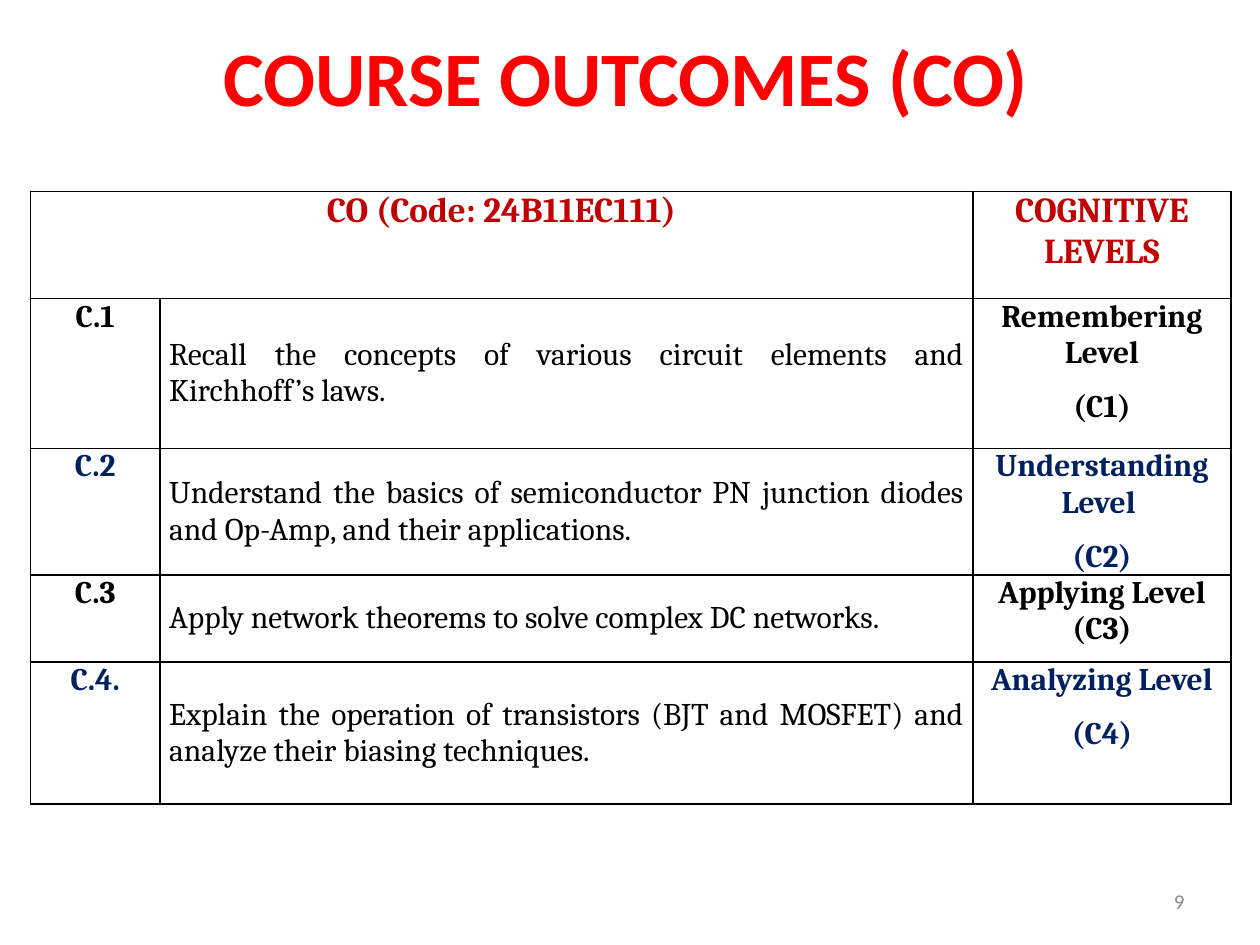
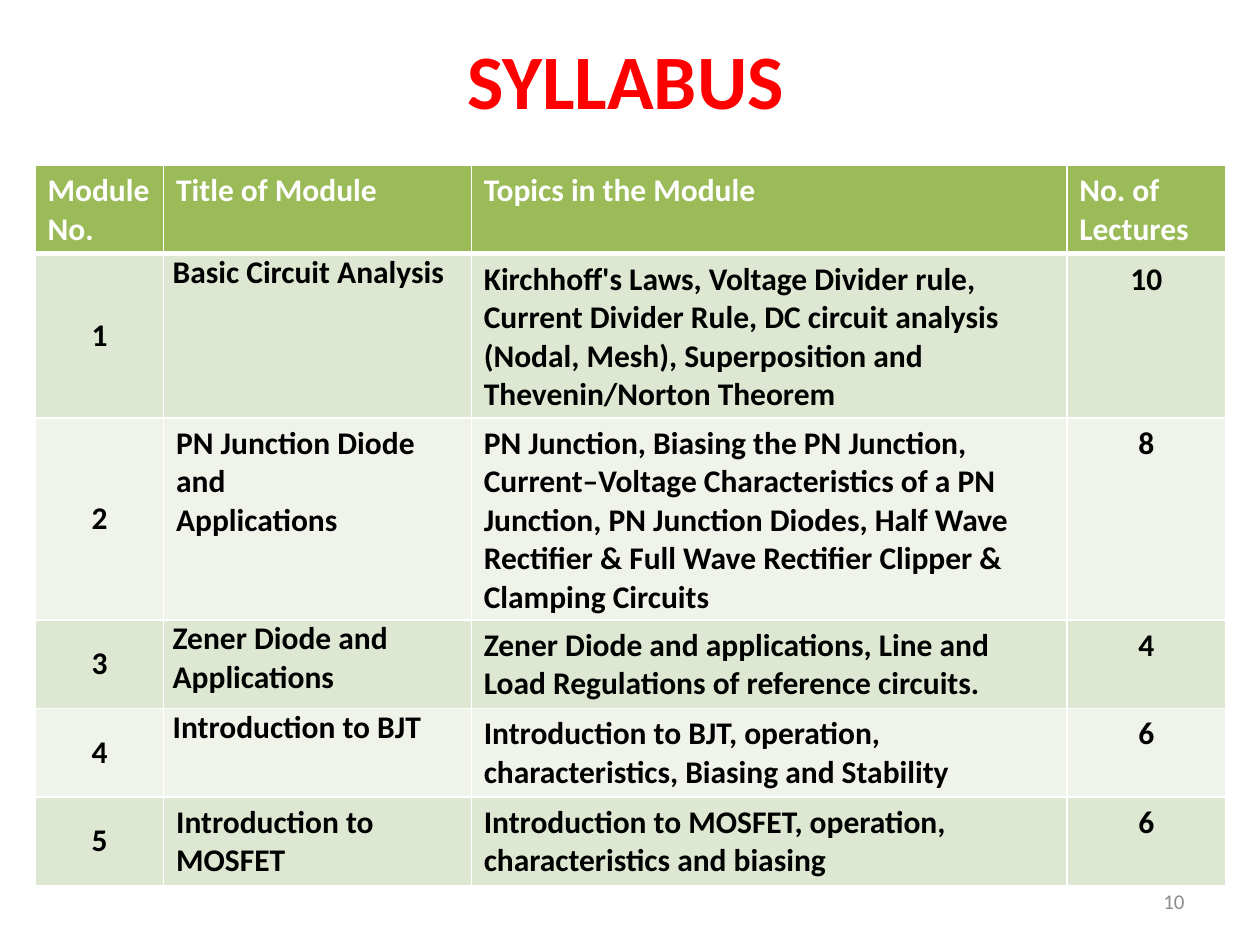
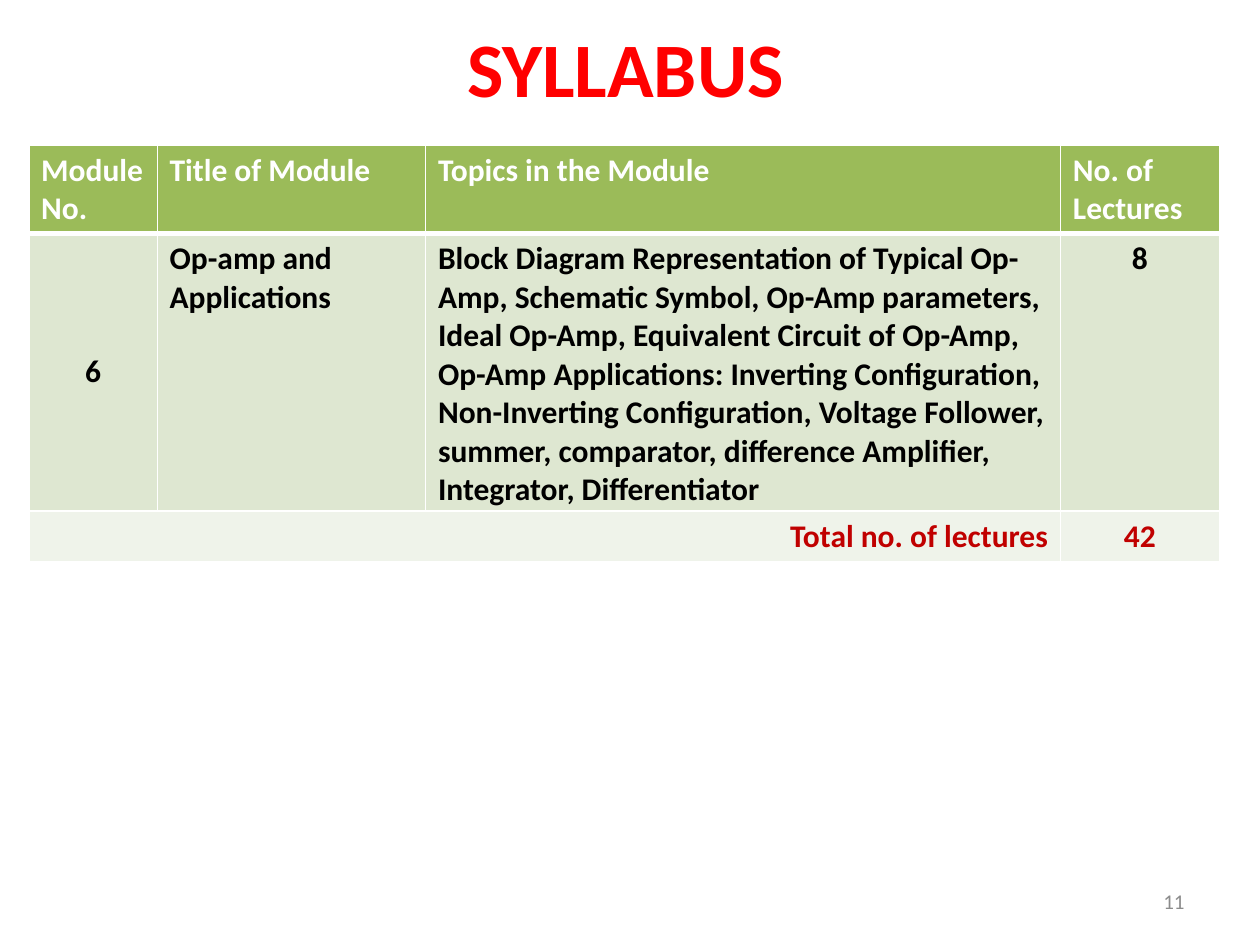
from collections import namedtuple
from dataclasses import dataclass

from lxml.etree import SubElement
from pptx import Presentation
from pptx.dml.color import RGBColor
from pptx.enum.text import MSO_ANCHOR, MSO_AUTO_SIZE, PP_ALIGN
from pptx.oxml.ns import qn
from pptx.util import Cm, Pt

Box = namedtuple("Box", "left top width height")


@dataclass(frozen=True)
class Theme:
    body_font: str = "Calibri"
    outcome_font: str = "Cambria"
    title_size: int = 44
    heading_size: int = 20
    body_size: int = 18
    number_size: int = 12
    title: str = "FF0000"
    number: str = "8C8C8C"
    ink: str = "000000"
    navy: str = "002060"
    accent: str = "C00000"
    white: str = "FFFFFF"
    green: str = "9BBB59"
    bands: tuple = ("DEE7D1", "EFF3EA")


THEME = Theme()
NUMBER_BOX = Box(18.21, 17.65, 5.92, 1.02)
PLAIN_MARGINS = (0.25, 0.13, 0.25, 0.13)
SNUG_MARGINS = (0.18, 0, 0, 0)
OUTCOME_MARGINS = (0.18, 0, 0.18, 0)

OUTCOMES = [
    # code, outcome, cognitive level, colour, points between level lines
    ("C.1", "Recall the concepts of various circuit elements and Kirchhoff’s laws. ",
     "Remembering Level\n(C1)", THEME.ink, 10),
    ("C.2", "Understand the basics of semiconductor PN junction diodes and Op-Amp, "
     "and their applications.", "Understanding Level \n(C2)", THEME.navy, 10),
    ("C.3", "Apply network theorems to solve complex DC networks.",
     "Applying Level\n(C3)", THEME.ink, 0),
    ("C.4.", "Explain the operation of transistors (BJT and MOSFET) and analyze "
     "their biasing techniques.", "Analyzing Level\n(C4)", THEME.navy, 10),
]

SYLLABUS_HEADINGS = ("Module No.", "Title of Module", "Topics in the Module", "No. of Lectures")

# number, title, topics, lectures, margins of the title
FIRST_MODULES = [
    ("1", "Basic Circuit Analysis",
     "Kirchhoff's Laws, Voltage Divider rule, Current Divider Rule, DC circuit analysis "
     "(Nodal, Mesh), Superposition and Thevenin/Norton Theorem", "10", SNUG_MARGINS),
    ("2", "PN Junction Diode and\nApplications",
     "PN Junction, Biasing the PN Junction, Current–Voltage Characteristics of a PN "
     "Junction, PN Junction Diodes, Half Wave Rectifier & Full Wave Rectifier Clipper & "
     "Clamping Circuits", "8", PLAIN_MARGINS),
    ("3", "Zener Diode and\nApplications",
     "Zener Diode and applications, Line and Load Regulations of reference circuits.",
     "4", SNUG_MARGINS),
    ("4", "Introduction to BJT",
     "Introduction to BJT, operation, characteristics, Biasing and Stability",
     "6", SNUG_MARGINS),
    ("5", "Introduction to MOSFET",
     "Introduction to MOSFET, operation, characteristics and biasing",
     "6", PLAIN_MARGINS),
]
LAST_MODULES = [
    ("6", "Op-amp and Applications",
     "Block Diagram Representation of Typical Op-Amp, Schematic Symbol, Op-Amp "
     "parameters, Ideal Op-Amp, Equivalent Circuit of Op-Amp, Op-Amp Applications: "
     "Inverting Configuration, Non-Inverting Configuration, Voltage Follower, summer, "
     "comparator, difference Amplifier, Integrator, Differentiator", "8", PLAIN_MARGINS),
]


def write(frame, text, font=THEME.body_font, size=THEME.body_size, color=THEME.ink,
          bold=True, align=PP_ALIGN.LEFT, gap=0):
    """Fill a frame with one paragraph per line, with gap points between them."""
    frame.word_wrap = True
    lines = text.split("\n")
    for index, line in enumerate(lines):
        paragraph = frame.paragraphs[0] if index == 0 else frame.add_paragraph()
        paragraph.alignment = align
        if gap and index < len(lines) - 1:
            paragraph.space_after = Pt(gap)
        run = paragraph.add_run()
        run.text = line
        run.font.name = font
        run.font.size = Pt(size)
        run.font.bold = bold
        run.font.color.rgb = RGBColor.from_string(color)


def add_label(slide, box, text, **text_format):
    frame = slide.shapes.add_textbox(*map(Cm, box)).text_frame
    write(frame, text, **text_format)
    return frame


def add_title(slide, top, text):
    frame = add_label(slide, Box(0.51, top, 24.21, 2.13), text, size=THEME.title_size,
                      color=THEME.title, align=PP_ALIGN.CENTER)
    frame.auto_size = MSO_AUTO_SIZE.SHAPE_TO_FIT_TEXT


def add_page_number(slide, number):
    frame = add_label(slide, NUMBER_BOX, str(number), size=THEME.number_size,
                      color=THEME.number, bold=False, align=PP_ALIGN.RIGHT)
    frame.vertical_anchor = MSO_ANCHOR.MIDDLE


def set_borders(cell, color, bottom=1, top=1):
    """Draw the four sides, ahead of the cell's fill as the schema requires."""
    properties = cell._tc.get_or_add_tcPr()
    for index, (side, points) in enumerate(
            (("lnL", 1), ("lnR", 1), ("lnT", top), ("lnB", bottom))):
        line = SubElement(properties, qn(f"a:{side}"), w=str(Pt(points)))
        fill = SubElement(line, qn("a:solidFill"))
        SubElement(fill, qn("a:srgbClr"), val=color)
        properties.insert(index, line)


def add_grid(slide, box, column_shares, row_shares):
    """Add an unstyled table whose columns and rows share out the box."""
    table = slide.shapes.add_table(len(row_shares), len(column_shares), *map(Cm, box)).table
    table.first_row = table.horz_banding = False
    for column, share in zip(table.columns, column_shares):
        column.width = Cm(box.width * share / sum(column_shares))
    for row, share in zip(table.rows, row_shares):
        row.height = Cm(box.height * share / sum(row_shares))
    return table


def fill_cell(cell, text, margins=PLAIN_MARGINS, anchor=MSO_ANCHOR.TOP, **text_format):
    cell.margin_left, cell.margin_top, cell.margin_right, cell.margin_bottom = map(Cm, margins)
    cell.vertical_anchor = anchor
    write(cell.text_frame, text, **text_format)


def add_outcomes(slide, box):
    table = add_grid(slide, box, (2.62, 16.38, 5.21), (2.16, 3.02, 2.54, 1.75, 2.87))
    for cell in table.iter_cells():
        cell.fill.background()
        set_borders(cell, THEME.ink)
    table.cell(0, 0).merge(table.cell(0, 1))
    centred = dict(font=THEME.outcome_font, margins=OUTCOME_MARGINS, align=PP_ALIGN.CENTER)
    for column, heading in ((0, "CO (Code: 24B11EC111)"), (2, "COGNITIVE LEVELS")):
        fill_cell(table.cell(0, column), heading, size=THEME.heading_size,
                  color=THEME.accent, **centred)
    for row, (code, outcome, level, color, gap) in enumerate(OUTCOMES, 1):
        fill_cell(table.cell(row, 0), code, color=color, **centred)
        fill_cell(table.cell(row, 1), outcome, font=THEME.outcome_font, bold=False,
                  margins=OUTCOME_MARGINS, anchor=MSO_ANCHOR.MIDDLE, align=PP_ALIGN.JUSTIFY)
        fill_cell(table.cell(row, 2), level, color=color, gap=gap, **centred)


def add_syllabus(slide, box, column_shares, row_shares, modules, total=None):
    """Add the banded module table, closed by a row of total lectures if given."""
    table = add_grid(slide, box, column_shares, row_shares)
    for row in range(len(row_shares)):
        for column in range(len(column_shares)):
            cell = table.cell(row, column)
            cell.fill.solid()
            cell.fill.fore_color.rgb = RGBColor.from_string(
                THEME.bands[(row - 1) % 2] if row else THEME.green)
            set_borders(cell, THEME.white, bottom=1 if row else 3, top=3 if row == 1 else 1)
    for column, heading in enumerate(SYLLABUS_HEADINGS):
        fill_cell(table.cell(0, column), heading, color=THEME.white)
    for row, (number, title, topics, lectures, margins) in enumerate(modules, 1):
        fill_cell(table.cell(row, 0), number, anchor=MSO_ANCHOR.MIDDLE, align=PP_ALIGN.CENTER)
        fill_cell(table.cell(row, 1), title, margins=margins)
        fill_cell(table.cell(row, 2), topics)
        fill_cell(table.cell(row, 3), lectures, align=PP_ALIGN.CENTER)
    if total:
        last = len(row_shares) - 1
        table.cell(last, 0).merge(table.cell(last, 2))
        fill_cell(table.cell(last, 0), "Total no. of lectures", color=THEME.accent,
                  align=PP_ALIGN.RIGHT)
        fill_cell(table.cell(last, 3), total, color=THEME.accent, align=PP_ALIGN.CENTER)


def main():
    deck = Presentation()
    deck.slide_width, deck.slide_height = Cm(25.4), Cm(19.05)
    outcomes, syllabus, syllabus_end = (
        deck.slides.add_slide(deck.slide_layouts[6]) for _ in range(3))

    add_outcomes(outcomes, Box(0.61, 3.86, 24.21, 12.34))
    add_title(outcomes, 0.48, "COURSE OUTCOMES (CO)")

    add_title(syllabus, 0.53, "SYLLABUS")
    add_syllabus(syllabus, Box(0.71, 3.33, 24, 14.4), (2.59, 6.2, 12, 3.2),
                 (1.75, 3.3, 4.05, 1.77, 1.77, 1.77), FIRST_MODULES)

    add_syllabus(syllabus_end, Box(0.58, 2.92, 24, 8.36), (2.59, 5.41, 12.8, 3.2),
                 (1.75, 5.58, 1.03), LAST_MODULES, total="42")
    add_title(syllabus_end, 0.28, "SYLLABUS")

    for number, slide in enumerate(deck.slides, 9):
        add_page_number(slide, number)
    deck.save("out.pptx")


if __name__ == "__main__":
    main()
